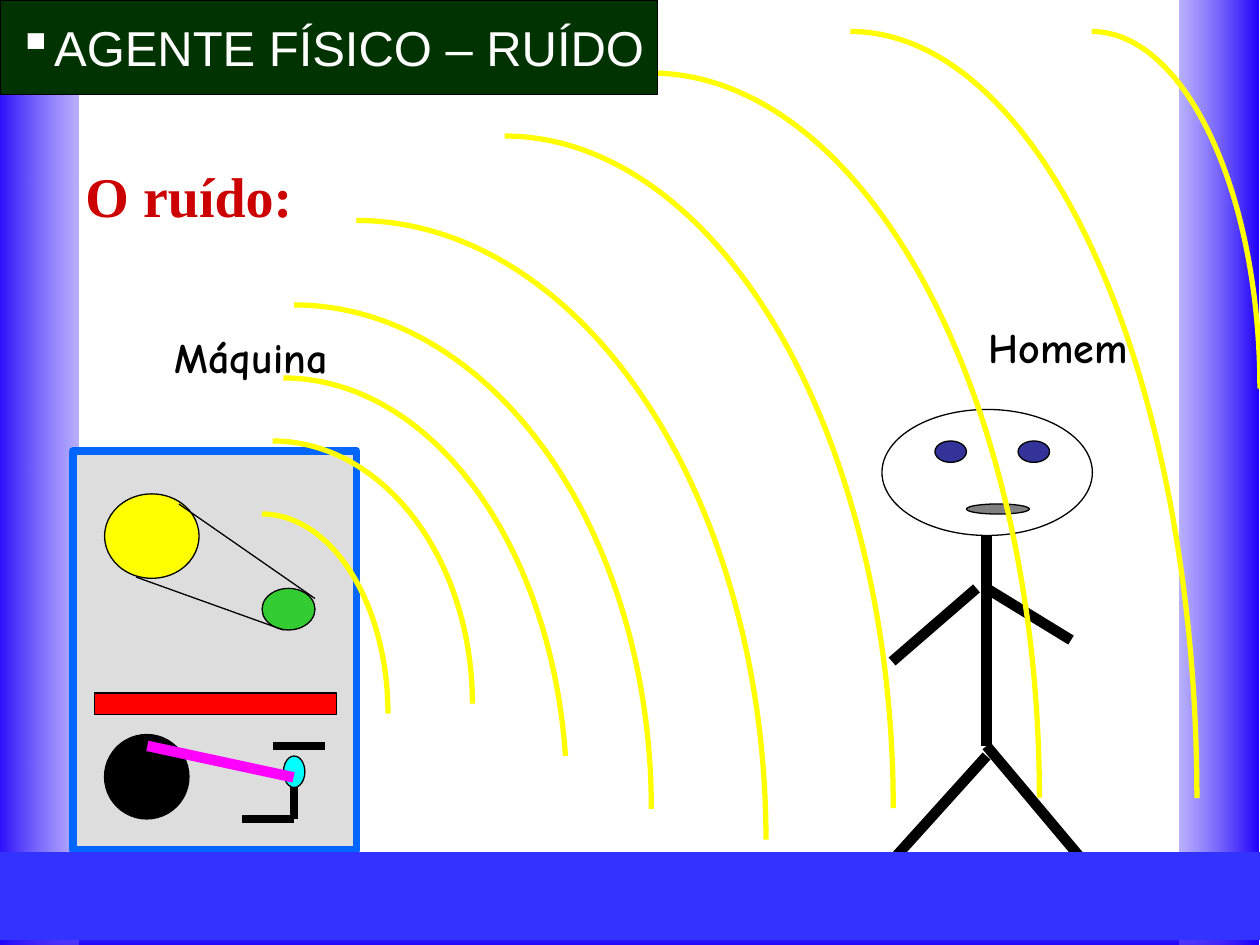
from lxml.etree import SubElement
from pptx import Presentation
from pptx.dml.color import RGBColor
from pptx.enum.shapes import MSO_CONNECTOR as Connector, MSO_SHAPE as Shape
from pptx.enum.text import MSO_ANCHOR as Anchor, PP_ALIGN as Align
from pptx.oxml.ns import qn
from pptx.util import Inches, Pt

BLACK = RGBColor(0x00, 0x00, 0x00)
WHITE = RGBColor(0xFF, 0xFF, 0xFF)
YELLOW = RGBColor(0xFF, 0xFF, 0x00)
GREEN = RGBColor(0x33, 0xCC, 0x33)
DARK_GREEN = RGBColor(0x00, 0x33, 0x00)
RED = RGBColor(0xFF, 0x00, 0x00)
DARK_RED = RGBColor(0xCC, 0x00, 0x00)
CYAN = RGBColor(0x00, 0xFF, 0xFF)
MAGENTA = RGBColor(0xFF, 0x00, 0xFF)
LIGHT_GREY = RGBColor(0xDD, 0xDD, 0xDD)
GREY = RGBColor(0x80, 0x80, 0x80)
EYE_BLUE = RGBColor(0x33, 0x33, 0x99)
FRAME_BLUE = RGBColor(0x00, 0x66, 0xFF)
FLOOR_BLUE = RGBColor(0x33, 0x33, 0xFF)
DEEP_BLUE = RGBColor(0x1E, 0x00, 0xFA)
SIDE_BLUE = RGBColor(0x70, 0x5D, 0xFC)
BASE_BLUE = RGBColor(0x8C, 0x7D, 0xFC)

TITLE = "AGENTE FÍSICO – RUÍDO"

# Border bands: box, pale colour, angle, whether the pale end comes first
BANDS = [
    ((-0.01, 6.84, 10, 0.67), BASE_BLUE, 270, True),
    ((9.36, 0, 0.63, 7.5), SIDE_BLUE, 0, True),
    ((-0.05, 0, 0.67, 7.5), SIDE_BLUE, 0, False),
]

# Labels: text, box, font, size, colour, alignment
LABELS = [
    (" Máquina", (1.17, 2.58, 1.67, 0.5), "Comic Neue", 24, BLACK, Align.JUSTIFY),
    ("O ruído:", (0.58, 1.23, 2.42, 0.64), "Times New Roman", 32, DARK_RED, Align.LEFT),
    ("Homem", (7.75, 2.5, 1.67, 0.5), "Comic Neue", 24, BLACK, Align.JUSTIFY),
]

# Drawings, back to front. Shapes: preset, box, fill, line colour, line width
# Lines: None, (x1, y1, x2, y2), None, colour, width
MACHINE = [
    (Shape.RECTANGLE, (0.58, 3.58, 2.25, 3.17), LIGHT_GREY, FRAME_BLUE, 4.5),
    (Shape.OVAL, (0.83, 3.92, 0.75, 0.67), YELLOW, BLACK, 0.75),
    (Shape.OVAL, (2.08, 4.67, 0.42, 0.33), GREEN, BLACK, 0.75),
    (None, (1.42, 4, 2.5, 4.75), None, BLACK, 0.75),
    (None, (1.08, 4.58, 2.25, 5), None, BLACK, 0.75),
    (Shape.RECTANGLE, (0.75, 5.5, 1.92, 0.17), RED, BLACK, 0.75),
    (Shape.OVAL, (0.83, 5.83, 0.67, 0.67), BLACK, BLACK, 0.75),
    (None, (2.17, 5.92, 2.58, 5.92), None, BLACK, 4.5),
    (None, (2.33, 6.08, 2.33, 6.5), None, BLACK, 4.5),
    (None, (2.33, 6.5, 1.92, 6.5), None, BLACK, 4.5),
    (Shape.OVAL, (2.25, 6, 0.17, 0.25), CYAN, BLACK, 0.75),
    (None, (1.17, 5.92, 2.33, 6.17), None, MAGENTA, 6),
]
MAN = [
    (Shape.OVAL, (7, 3.25, 1.67, 1), WHITE, BLACK, 0.75),
    (Shape.OVAL, (7.42, 3.5, 0.25, 0.17), EYE_BLUE, BLACK, 0.75),
    (Shape.OVAL, (8.08, 3.5, 0.25, 0.17), EYE_BLUE, BLACK, 0.75),
    (Shape.OVAL, (7.67, 4, 0.5, 0.08), GREY, BLACK, 0.75),
    (None, (7.83, 4.25, 7.83, 5.92), None, BLACK, 6),
    (None, (7.83, 5.92, 8.67, 6.92), None, BLACK, 6),
    (None, (7.83, 6, 7, 6.92), None, BLACK, 6),
    (None, (7.75, 4.67, 7.08, 5.25), None, BLACK, 6),
    (None, (7.83, 4.67, 8.5, 5.08), None, BLACK, 6),
]
FLOOR = [(None, (0, 7.11, 10, 7.11), None, FLOOR_BLUE, 50)]

# Sound waves: box of the whole ellipse, end angle of the arc in degrees
WAVES = [
    ((-0.5, 2.42, 5.67, 8), 0),
    ((0, 3, 4.5, 6.67), 351.5),
    ((0.58, 3.5, 3.17, 4.17), 0),
    ((1.08, 4.08, 2, 3.17), 0),
    ((-0.42, 1.75, 6.5, 9.83), 0),
    ((0.92, 1.08, 6.17, 10.67), 0),
    ((2.08, 0.58, 6.17, 11.5), 0),
    ((4, 0.25, 5.5, 12.17), 0),
    ((7.33, 0.25, 2.67, 5.67), 0),
]


def inches(box):
    return [Inches(value) for value in box]


def add_shape(slide, preset, box):
    shape = slide.shapes.add_shape(preset, *inches(box))
    shape.shadow.inherit = False
    return shape


def add_band(slide, box, pale, angle, pale_first):
    band = add_shape(slide, Shape.RECTANGLE, box)
    band.line.fill.background()
    band.fill.gradient()
    band.fill.gradient_angle = angle
    stops = list(band.fill.gradient_stops)
    first, last = (pale, DEEP_BLUE) if pale_first else (DEEP_BLUE, pale)
    stops[0].color.rgb, stops[1].color.rgb = first, last
    colours = list(band.fill._xPr.iter(qn("a:srgbClr")))
    SubElement(colours[0 if pale_first else 1], qn("a:alpha")).set("val", "49000")


def add_label(slide, text, box, font, size, colour, alignment):
    frame = slide.shapes.add_textbox(*inches(box)).text_frame
    frame.word_wrap = True
    paragraph = frame.paragraphs[0]
    paragraph.text = text
    paragraph.alignment = alignment
    paragraph.font.name, paragraph.font.size = font, Pt(size)
    paragraph.font.bold = True
    paragraph.font.color.rgb = colour


def draw(slide, parts):
    for preset, box, fill, colour, width in parts:
        if preset is None:
            part = slide.shapes.add_connector(Connector.STRAIGHT, *inches(box))
        else:
            part = add_shape(slide, preset, box)
            part.fill.solid()
            part.fill.fore_color.rgb = fill
        part.line.color.rgb = colour
        part.line.width = Pt(width)
        if preset is None:
            SubElement(part._element.spPr, qn("a:effectLst"))


def add_wave(slide, box, end_angle):
    wave = add_shape(slide, Shape.ARC, box)
    if end_angle:
        wave.adjustments[1] = end_angle * 0.6  # 60000 units a degree, stored per 100000
    wave.fill.background()
    wave.line.color.rgb = YELLOW
    wave.line.width = Pt(3)


def format_title(slide):
    title = slide.shapes.title
    title.left, title.top, title.width, title.height = inches((0, 0, 5.22, 0.75))
    geometry = SubElement(title._element.spPr, qn("a:prstGeom"), prst="roundRect")
    SubElement(geometry, qn("a:avLst"))
    title.fill.solid()
    title.fill.fore_color.rgb = DARK_GREEN
    title.line.color.rgb = BLACK
    title.line.width = Pt(0.75)
    frame = title.text_frame
    frame.word_wrap = False
    frame.vertical_anchor = Anchor.MIDDLE
    frame.margin_left = Inches(0.14)
    paragraph = frame.paragraphs[0]
    paragraph.text = TITLE
    paragraph.alignment = Align.LEFT
    properties = paragraph._p.get_or_add_pPr()
    properties.set("marL", str(Inches(0.23)))
    properties.set("indent", str(-Inches(0.23)))
    bullet_colour = SubElement(properties, qn("a:buClr"))
    SubElement(bullet_colour, qn("a:srgbClr"), val=str(WHITE))
    SubElement(properties, qn("a:buChar"), char="▪")
    paragraph.font.name, paragraph.font.size = "Arial", Pt(28)
    paragraph.font.color.rgb = WHITE
    # The header lies over the waves
    slide.shapes._spTree.append(title._element)


def main():
    presentation = Presentation()
    presentation.slide_width, presentation.slide_height = Inches(10), Inches(7.5)
    slide = presentation.slides.add_slide(presentation.slide_layouts[5])
    for band in BANDS:
        add_band(slide, *band)
    for label in LABELS:
        add_label(slide, *label)
    draw(slide, MACHINE + MAN)
    for wave in WAVES:
        add_wave(slide, *wave)
    format_title(slide)
    draw(slide, FLOOR)
    presentation.save("out.pptx")


if __name__ == "__main__":
    main()
